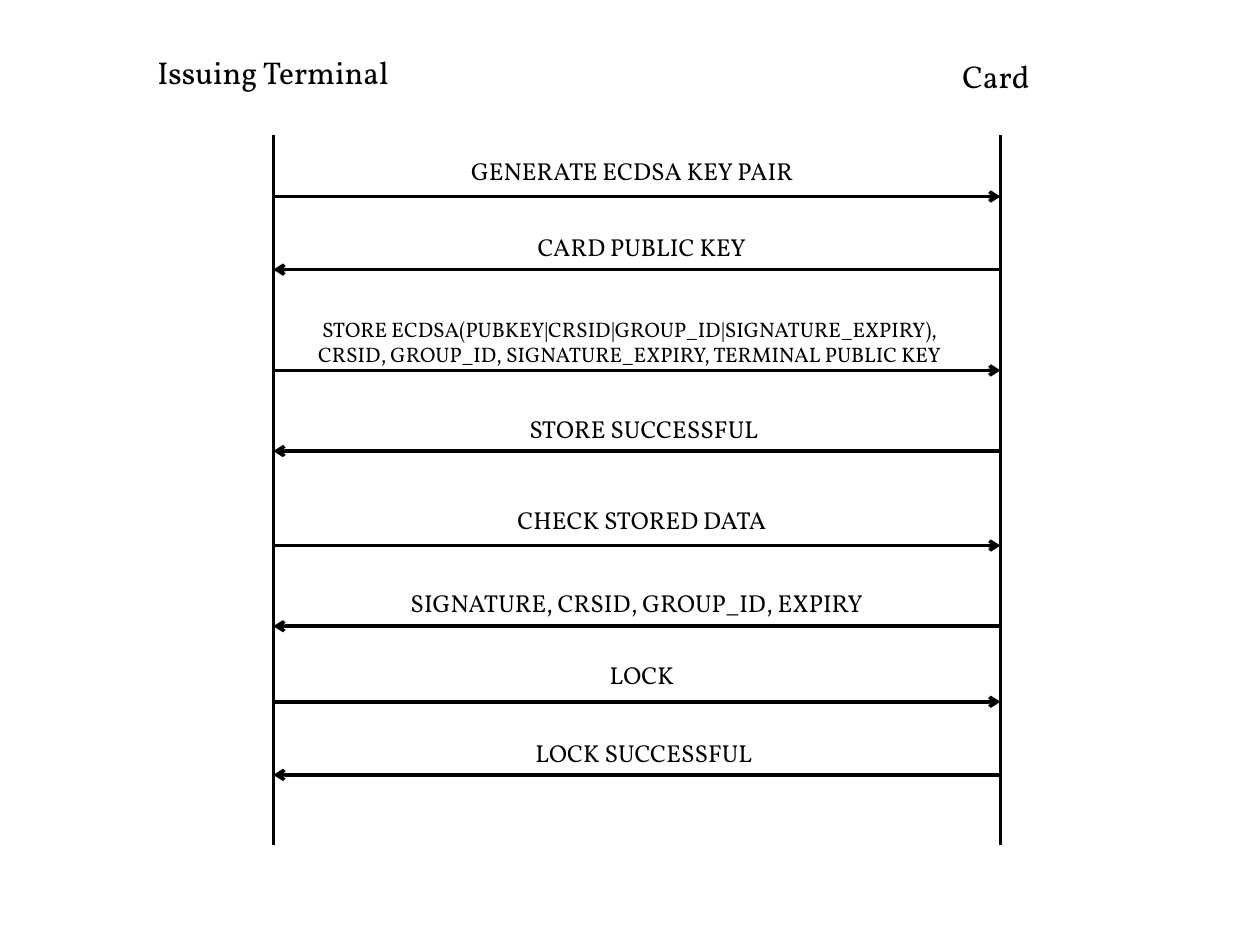
from dataclasses import dataclass

from lxml.etree import SubElement
from pptx import Presentation
from pptx.dml.color import RGBColor
from pptx.enum.shapes import MSO_CONNECTOR
from pptx.enum.text import MSO_AUTO_SIZE, PP_ALIGN
from pptx.oxml.ns import qn
from pptx.slide import Slide
from pptx.util import Inches, Pt

BLACK = RGBColor(0x00, 0x00, 0x00)
FONT_NAME = "Vollkorn"
TERMINAL_X, CARD_X = 2.17, 7.94
LIFELINE_TOP, LIFELINE_BOTTOM = 1.07, 6.71
BLANK_LAYOUT = 6


@dataclass(frozen=True)
class Label:
    lines: tuple[str, ...]
    left: float
    top: float
    width: float
    height: float = 0.34
    size: int = 14
    alignment: PP_ALIGN = PP_ALIGN.CENTER


@dataclass(frozen=True)
class Message:
    arrow_y: float
    label: Label


PARTICIPANTS = (
    Label(("Issuing Terminal",), 1.15, 0.37, 2.11, 0.4, 18, PP_ALIGN.LEFT),
    Label(("Card",), 7.54, 0.4, 0.85, 0.4, 18, PP_ALIGN.LEFT),
)

# Requests from the terminal alternate with replies from the card.
MESSAGES = (
    Message(1.56, Label(("GENERATE ECDSA KEY PAIR",), 3.64, 1.19, 3.67, alignment=PP_ALIGN.LEFT)),
    Message(2.14, Label(("CARD PUBLIC KEY",), 3.26, 1.79, 3.67)),
    Message(2.94, Label(
        (
            "STORE ECDSA(PUBKEY|CRSID|GROUP_ID|SIGNATURE_EXPIRY),",
            "CRSID, GROUP_ID, SIGNATURE_EXPIRY, TERMINAL PUBLIC KEY",
        ),
        1.28, 2.46, 7.44, 0.5, 12,
    )),
    Message(3.58, Label(("STORE SUCCESSFUL",), 3.17, 3.24, 3.88)),
    Message(4.33, Label(("CHECK STORED DATA",), 3.26, 3.96, 3.67)),
    Message(4.97, Label(("SIGNATURE, CRSID, GROUP_ID, EXPIRY",), 2.93, 4.62, 4.25)),
    Message(5.57, Label(("LOCK",), 3.26, 5.19, 3.67)),
    Message(6.15, Label(("LOCK SUCCESSFUL",), 3.17, 5.81, 3.88)),
)


def draw_label(slide: Slide, label: Label) -> None:
    shape = slide.shapes.add_textbox(
        Inches(label.left), Inches(label.top), Inches(label.width), Inches(label.height)
    )
    text_frame = shape.text_frame
    text_frame.word_wrap = True
    text_frame.auto_size = MSO_AUTO_SIZE.SHAPE_TO_FIT_TEXT
    text_frame.text = "\n".join(label.lines)
    font_format = {"name": FONT_NAME, "size": Pt(label.size)}
    for paragraph in text_frame.paragraphs:
        paragraph.alignment = label.alignment
        font = paragraph.runs[0].font
        for attribute, value in font_format.items():
            setattr(font, attribute, value)
        font.color.rgb = BLACK


def draw_line(
    slide: Slide, start: tuple[float, float], end: tuple[float, float], arrow: bool = False
) -> None:
    """Draw a straight line, with an open arrowhead at its end if asked."""
    connector = slide.shapes.add_connector(
        MSO_CONNECTOR.STRAIGHT, *(Inches(length) for length in (*start, *end))
    )
    connector.line.color.rgb = BLACK
    connector.line.width = Pt(2)
    if arrow:
        SubElement(connector.line._get_or_add_ln(), qn("a:tailEnd"), type="arrow")
    SubElement(connector._element.spPr, qn("a:effectLst"))


def main() -> None:
    presentation = Presentation()
    presentation.slide_width = Inches(10)
    presentation.slide_height = Inches(7.5)
    slide = presentation.slides.add_slide(presentation.slide_layouts[BLANK_LAYOUT])

    for participant in PARTICIPANTS:
        draw_label(slide, participant)
    for lifeline_x in (TERMINAL_X, CARD_X):
        draw_line(slide, (lifeline_x, LIFELINE_TOP), (lifeline_x, LIFELINE_BOTTOM))

    for index, message in enumerate(MESSAGES):
        is_request = index % 2 == 0
        start_x, end_x = (TERMINAL_X, CARD_X) if is_request else (CARD_X, TERMINAL_X)
        draw_line(slide, (start_x, message.arrow_y), (end_x, message.arrow_y), arrow=True)
        draw_label(slide, message.label)

    presentation.save("out.pptx")


if __name__ == "__main__":
    main()
